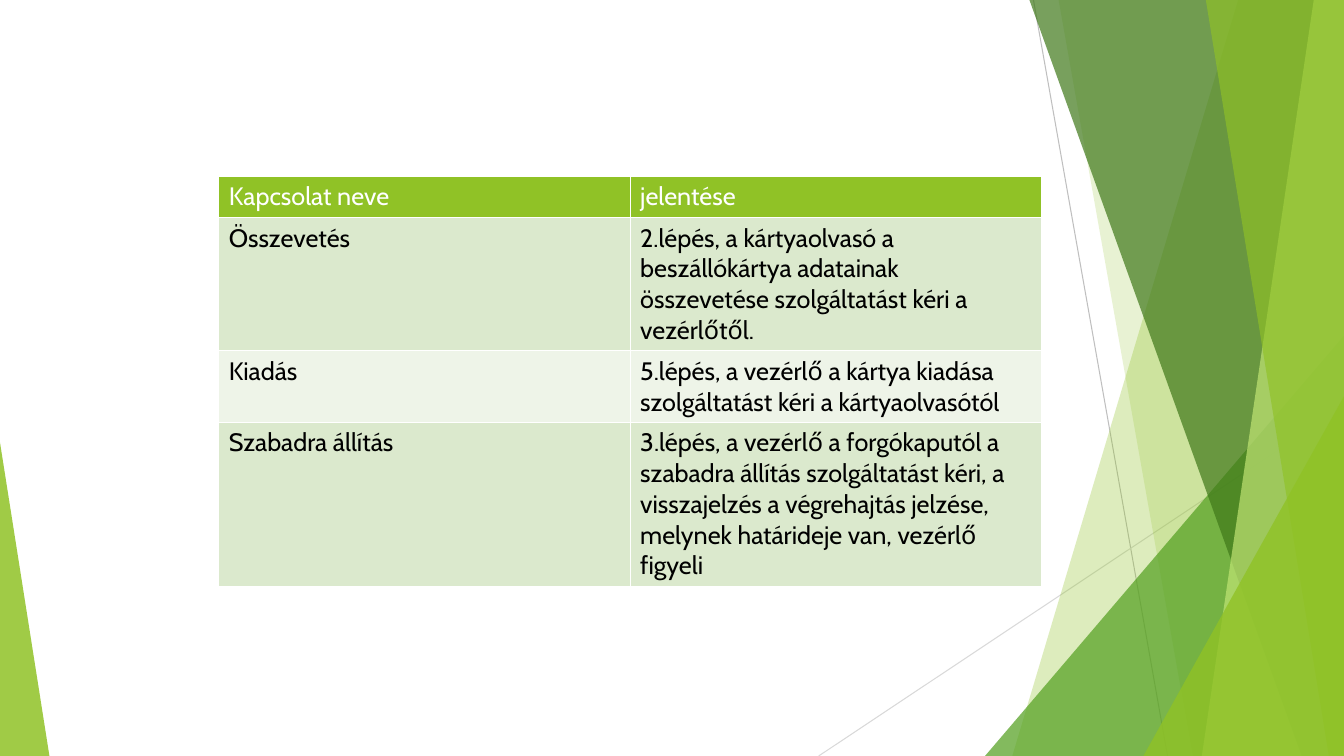
from lxml.etree import SubElement
from pptx import Presentation
from pptx.dml.color import RGBColor
from pptx.enum.shapes import MSO_CONNECTOR, MSO_SHAPE
from pptx.oxml.ns import qn
from pptx.util import Inches, Pt

WIDTH, HEIGHT = 13.33, 7.5

RAYS = [("BFBFBF", (10.25, 0), (11.58, HEIGHT)),
        ("D9D9D9", (WIDTH, 4.03), (8.12, HEIGHT))]
BACK_BANDS = [(12.28, 10.04, "90C226", 30), (10.5, 11.83, "90C226", 20)]
FRONT_BANDS = [(10.21, 12.91, "3F7819", 70), (13.03, 11.92, "C0E474", 70),
               (11.96, 13.18, "90C226", 65)]
BACK_WEDGE = (9.77, 3.33, 3.56, 1, "54A021", 72)
FRONT_WEDGES = [(11.34, 3.93, 1.99, 1, "90C226", 80),
                (0, 4.39, 0.49, 0, "90C226", 85)]

CONNECTIONS = [
    ("Kapcsolat neve", "jelentése"),
    ("Összevetés", "2.lépés, a kártyaolvasó a beszállókártya adatainak "
                   "összevetése szolgáltatást kéri a vezérlőtől."),
    ("Kiadás", "5.lépés, a vezérlő a kártya kiadása szolgáltatást kéri a "
               "kártyaolvasótól"),
    ("Szabadra állítás", "3.lépés, a vezérlő a forgókaputól a szabadra állítás "
                         "szolgáltatást kéri, a visszajelzés a végrehajtás "
                         "jelzése, melynek határideje van, vezérlő figyeli"),
]


def colour(code):
    return RGBColor.from_string(code)


class FacetSlide:
    font = "Cabin"
    size = 18
    header_fill = "90C226"
    row_fills = ("EEF4E8", "DBE9CD")

    def __init__(self, slide):
        self.shapes = slide.shapes

    def paint(self, shape, code, opacity):
        shape.shadow.inherit = False
        shape.line.fill.background()
        shape.fill.solid()
        shape.fill.fore_color.rgb = colour(code)
        tint = shape.fill._xPr.find(qn("a:solidFill"))[0]
        SubElement(tint, qn("a:alpha"), val=str(opacity * 1000))

    def ray(self, code, start, end):
        ray = self.shapes.add_connector(
            MSO_CONNECTOR.STRAIGHT, *map(Inches, start + end))
        ray.line.color.rgb = colour(code)
        ray.line.width = Pt(0.75)
        SubElement(ray._element.spPr, qn("a:effectLst"))

    def band(self, top_x, bottom_x, code, opacity):
        builder = self.shapes.build_freeform(Inches(top_x), 0)
        corners = [(WIDTH, 0), (WIDTH, HEIGHT), (bottom_x, HEIGHT)]
        builder.add_line_segments([(Inches(x), Inches(y)) for x, y in corners])
        self.paint(builder.convert_to_shape(), code, opacity)

    def wedge(self, left, top, width, peak, code, opacity):
        wedge = self.shapes.add_shape(
            MSO_SHAPE.ISOSCELES_TRIANGLE, Inches(left), Inches(top),
            Inches(width), Inches(HEIGHT - top))
        wedge.adjustments[0] = peak
        self.paint(wedge, code, opacity)

    def cell(self, cell, text, fill, ink):
        properties = cell._tc.get_or_add_tcPr()
        for side in ("lnL", "lnR", "lnT", "lnB"):
            border = SubElement(properties, qn(f"a:{side}"), w=str(Pt(1)))
            SubElement(SubElement(border, qn("a:solidFill")),
                       qn("a:srgbClr"), val="FFFFFF")
        cell.fill.solid()
        cell.fill.fore_color.rgb = colour(fill)
        cell.text_frame.text = text
        font = cell.text_frame.paragraphs[0].runs[0].font
        font.name = self.font
        font.size = Pt(self.size)
        font.bold = False
        font.color.rgb = colour(ink)

    def table(self, rows, left, top, width, row_height):
        table = self.shapes.add_table(
            len(rows), len(rows[0]), Inches(left), Inches(top),
            Inches(width), Inches(row_height * len(rows))).table
        for r, row in enumerate(rows):
            fill = self.row_fills[r % 2] if r else self.header_fill
            ink = "000000" if r else "FFFFFF"
            for c, text in enumerate(row):
                self.cell(table.cell(r, c), text, fill, ink)


def main():
    deck = Presentation()
    deck.slide_width, deck.slide_height = Inches(WIDTH), Inches(HEIGHT)
    facet = FacetSlide(deck.slides.add_slide(deck.slide_layouts[6]))
    for ray in RAYS:
        facet.ray(*ray)
    for band in BACK_BANDS:
        facet.band(*band)
    facet.wedge(*BACK_WEDGE)
    for band in FRONT_BANDS:
        facet.band(*band)
    for wedge in FRONT_WEDGES:
        facet.wedge(*wedge)
    facet.table(CONNECTIONS, 2.17, 1.75, 8.16, 0.41)
    deck.save("out.pptx")


if __name__ == "__main__":
    main()
